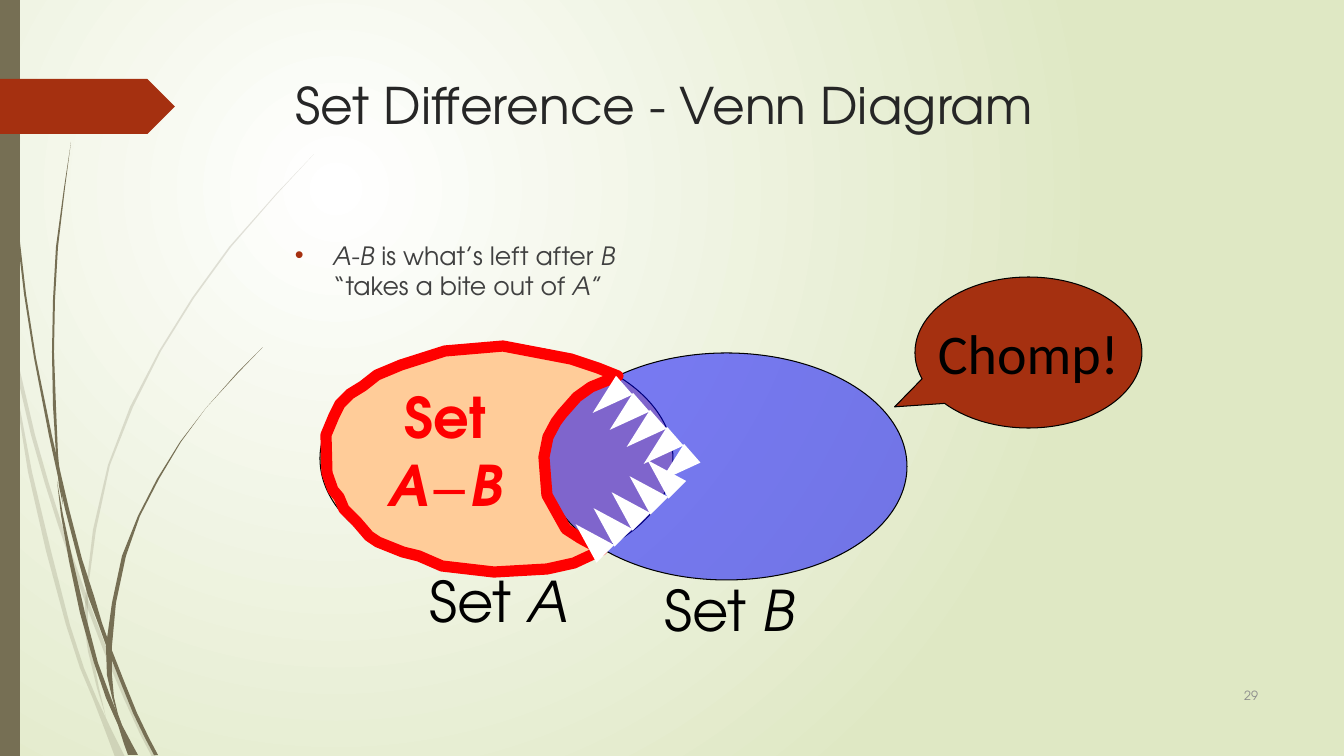
from dataclasses import dataclass
from lxml.etree import SubElement
from pptx import Presentation
from pptx.dml.color import RGBColor
from pptx.enum.shapes import MSO_SHAPE
from pptx.enum.text import MSO_ANCHOR, PP_ALIGN
from pptx.oxml.ns import qn
from pptx.util import Pt

SCALE = 914400 / 100.8


def px(n):
    return round(n * SCALE)


@dataclass(frozen=True)
class Theme:
    face: str = "TeX Gyre Adventor"
    shout: str = "Calibri"
    olive: str = "766F54"
    rust: str = "A53010"
    peach: str = "FFCC99"
    blue: str = "0000FF"
    red: str = "FF0000"
    white: str = "FFFFFF"
    black: str = "000000"
    lime: str = "DFE8C4"
    head: str = "262626"
    body: str = "404040"
    grey: str = "8C8C8C"
    large: int = 40
    title: int = 36
    text: int = 18
    small: int = 9


def write(frame, runs, size, color, face, align=PP_ALIGN.LEFT, anchor=MSO_ANCHOR.TOP, wrap=True, bullet=None):
    frame.word_wrap = wrap
    frame.vertical_anchor = anchor
    para = frame.paragraphs[0]
    para.alignment = align
    if bullet:
        props = para._p.get_or_add_pPr()
        props.set("marL", str(px(38)))
        props.set("indent", str(px(-38)))
        tint = SubElement(props, qn("a:buClr"))
        SubElement(tint, qn("a:srgbClr"), val=bullet)
        SubElement(props, qn("a:buFont"), typeface="Arial")
        SubElement(props, qn("a:buChar"), char="•")
    for words, style in runs:
        if words == "\n":
            para.add_line_break()
            continue
        run = para.add_run()
        run.text = words
        font = run.font
        font.name, font.size = face, Pt(size)
        font.color.rgb = RGBColor.from_string(color)
        font.bold, font.italic = "b" in style, "i" in style


def spline(points, steps=2):
    last = len(points) - 1
    curve = []
    for i in range(last):
        knots = [points[max(0, min(i + k, last))] for k in (-1, 0, 1, 2)]
        for step in range(steps):
            t = step / steps
            curve.append(tuple(
                (2 * b + (c - a) * t + (2 * a - 5 * b + 4 * c - d) * t ** 2
                 + (3 * b - a - 3 * c + d) * t ** 3) / 2
                for a, b, c, d in zip(*knots)))
    return curve + [points[-1]]


class Deck:
    def __init__(self, theme):
        self.theme = theme
        self.file = Presentation()
        self.file.slide_width, self.file.slide_height = px(1344), px(756)
        self.slide = self.file.slides.add_slide(self.file.slide_layouts[6])
        self.shapes = self.slide.shapes

    def backdrop(self, inner, outer):
        fill = self.slide.background.fill
        fill.gradient()
        for stop, color, place in zip(fill.gradient_stops, (inner, outer), (0, 1)):
            stop.color.rgb = RGBColor.from_string(color)
            stop.position = place
        grad = self.slide.element.find(".//" + qn("a:gradFill"))
        grad.remove(grad.find(qn("a:lin")))
        ring = SubElement(grad, qn("a:path"), {"path": "circle"})
        SubElement(ring, qn("a:fillToRect"), l="50000", t="50000", r="100000", b="100000")

    def paint(self, shape, fill=None, alpha=100, line=None, width=0.75):
        shape.shadow.inherit = False
        if fill:
            shape.fill.solid()
            shape.fill.fore_color.rgb = RGBColor.from_string(fill)
            if alpha < 100:
                tint = shape._element.spPr.find(qn("a:solidFill"))[0]
                SubElement(tint, qn("a:alpha"), val=str(alpha * 1000))
        else:
            shape.fill.background()
        if line:
            shape.line.color.rgb = RGBColor.from_string(line)
            shape.line.width = Pt(width)
        else:
            shape.line.fill.background()
        return shape

    def shape(self, kind, box, turn=0, tune=(), **look):
        shape = self.shapes.add_shape(kind, *map(px, box))
        shape.rotation = turn
        for i, value in enumerate(tune):
            shape.adjustments[i] = value
        return self.paint(shape, **look)

    def outline(self, points, **look):
        first, *rest = points
        path = self.shapes.build_freeform(*first, scale=SCALE)
        path.add_line_segments(rest, close=True)
        return self.paint(path.convert_to_shape(), **look)

    def blade(self, points, **look):
        spine = spline(points)
        left = [(x - w / 2, y) for x, y, w in spine]
        right = [(x + w / 2, y) for x, y, w in reversed(spine)]
        self.outline(left + right, **look)

    def text(self, box, runs, **form):
        frame = self.shapes.add_textbox(*map(px, box)).text_frame
        write(frame, runs, **{"face": self.theme.face, **form})


PALE = [
    [(0, 293, 4), (33, 435, 4), (60, 525, 4), (87, 602, 4), (126, 699, 4), (154, 757, 5)],
    [(11, 353, 0), (30, 472, 3), (68, 625, 5), (95, 699, 4), (120, 757, 10)],
    [(314, 154, 0), (230, 247, 2), (160, 351, 2), (109, 465, 3),
     (87, 589, 3), (90, 651, 4), (106, 717, 0)],
]
DARK = [
    [(4, 0, 1), (8, 110, 1), (18, 234, 2), (35, 358, 3), (67, 509, 4),
     (91, 596, 5), (109, 648, 4), (135, 713, 4), (156, 755, 5)],
    [(57, 481, 0), (71, 561, 4), (96, 663, 5), (120, 725, 5), (133, 755, 9)],
    [(71, 142, 0), (57, 247, 2), (53, 352, 2), (57, 454, 3), (63, 505, 0)],
    [(263, 347, 0), (206, 408, 1), (158, 479, 2), (124, 556, 3),
     (109, 646, 5), (113, 697, 3), (122, 725, 0)],
]
BITE = [
    (403, 552), (378, 542), (369, 536), (357, 522), (344, 509), (339, 497), (333, 490),
    (327, 473), (326, 435), (334, 416), (340, 404), (350, 394), (363, 386),
    (377, 375), (401, 365), (445, 351), (503, 346), (571, 359), (598, 368), (618, 376),
    (591, 387), (577, 397), (562, 414), (556, 422), (548, 437),
    (544, 457), (547, 495), (566, 529), (580, 538), (602, 550), (574, 563), (547, 569),
    (494, 572), (442, 566), (419, 556),
]


def main():
    theme = Theme()
    deck = Deck(theme)
    deck.backdrop(theme.white, theme.lime)
    for group, alpha in ((PALE, 20), (DARK, 100)):
        for points in group:
            deck.blade(points, fill=theme.olive, alpha=alpha)
    deck.shape(MSO_SHAPE.RECTANGLE, (0, 0, 20, 756), fill=theme.olive)
    deck.shape(MSO_SHAPE.PENTAGON, (0, 79, 175, 55), fill=theme.rust)

    deck.text((1142, 675, 126, 41), [("29", "")], size=theme.small, color=theme.grey,
              align=PP_ALIGN.RIGHT, anchor=MSO_ANCHOR.MIDDLE)
    deck.text((286, 69, 983, 141), [("Set Difference - Venn Diagram", "")],
              size=theme.title, color=theme.head)
    deck.text((285, 235, 983, 416),
              [("A", "i"), ("-", ""), ("B", "i"), (" is what’s left after ", ""), ("B", "i"),
               ("\n", ""), ("“takes a bite out of ", ""), ("A", "i"), ("”", "")],
              size=theme.text, color=theme.body, bullet=theme.rust)

    large = {"size": theme.large, "color": theme.black, "wrap": False}
    sets = (("A", (320, 345, 353, 227), theme.peach, 100, (420, 562, 159, 78)),
            ("B", (546, 353, 361, 227), theme.blue, 50, (655, 571, 159, 78)))
    for name, oval, fill, alpha, label in sets:
        deck.shape(MSO_SHAPE.OVAL, oval, fill=fill, alpha=alpha, line=theme.black)
        deck.text(label, [("Set ", ""), (name, "i")], **large)
    deck.outline(BITE, line=theme.red, width=8)
    deck.text((366, 378, 159, 144),
              [("Set", "b"), ("\n", ""), ("A", "bi"), ("−", ""), ("B", "bi")],
              size=theme.large, color=theme.red, align=PP_ALIGN.CENTER)

    bubble = deck.shape(MSO_SHAPE.OVAL_CALLOUT, (915, 277, 227, 151), tune=(-0.59, 0.36),
                        fill=theme.rust, line=theme.black)
    write(bubble.text_frame, [("Chomp!", "")], face=theme.shout,
          align=PP_ALIGN.CENTER, anchor=MSO_ANCHOR.MIDDLE, **large)

    jaws = ((578, 518, 18, -16, 314.9), (596, 378, 17, 17, 228.7))
    for left, top, across, down, turn in jaws:
        for i in range(5):
            deck.shape(MSO_SHAPE.ISOSCELES_TRIANGLE, (left + i * across, top + i * down, 25, 42),
                       turn=turn, fill=theme.white)
    deck.file.save("out.pptx")


if __name__ == "__main__":
    main()
